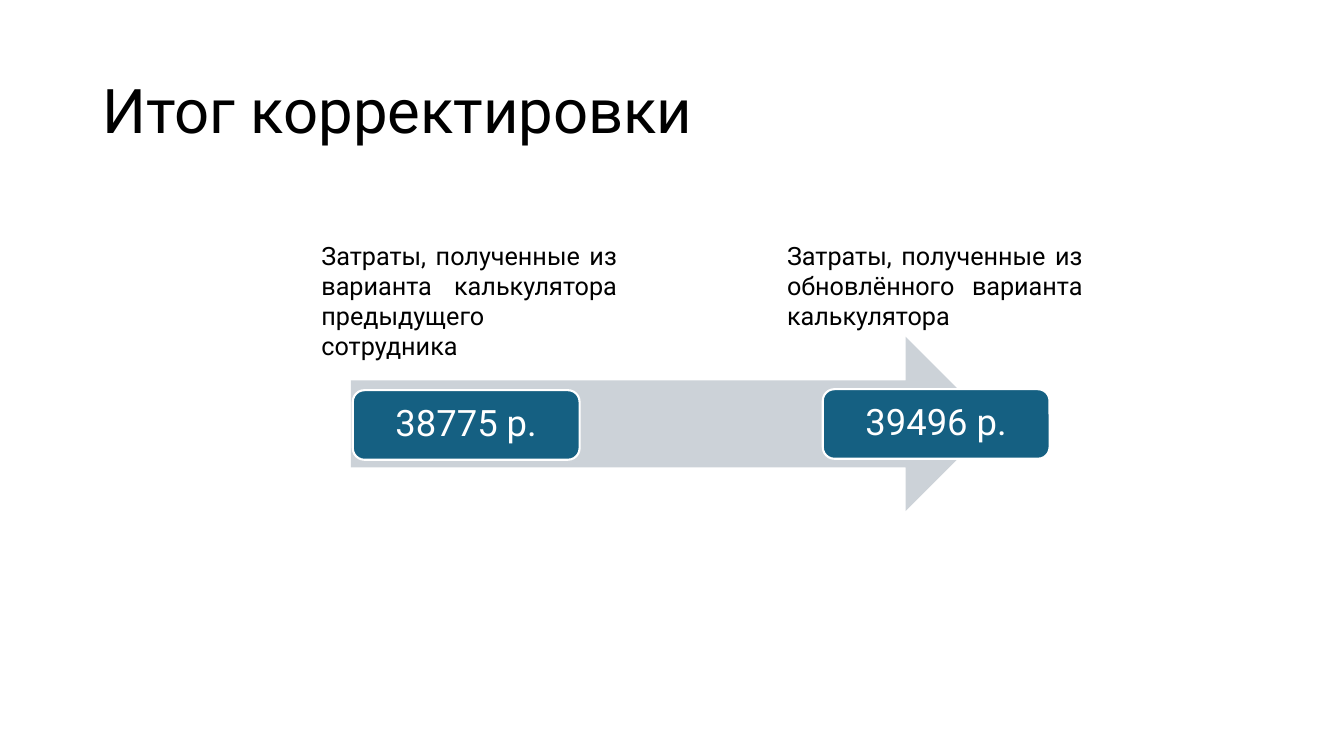
"""Build a slide comparing costs before and after the calculator update."""
import pptx
import pptx.dml.color
import pptx.enum.shapes
import pptx.enum.text
import pptx.util

Pt = pptx.util.Pt
SHAPE = pptx.enum.shapes.MSO_SHAPE
ALIGN = pptx.enum.text.PP_ALIGN
ANCHOR = pptx.enum.text.MSO_ANCHOR

TITLE = "Итог корректировки"
COSTS = [
    {"caption": "Затраты, полученные из варианта калькулятора предыдущего сотрудника",
     "value": "38775 р.", "caption_left": 222.5, "card_left": 252, "card_top": 278.7},
    {"caption": "Затраты, полученные из обновлённого варианта калькулятора",
     "value": "39496 р.", "caption_left": 555.1, "card_left": 587.7, "card_top": 278},
]
CARD_W, CARD_H = 162, 49.7
CAPTION_TOP, CAPTION_W, CAPTION_H = 167.8, 225.4, 72.7


def color(value):
    return pptx.dml.color.RGBColor.from_string(value)


def add_shape(s, kind, box, fill, line=None):
    sp = s.shapes.add_shape(kind, *map(Pt, box))
    sp.shadow.inherit = False
    sp.fill.solid()
    sp.fill.fore_color.rgb = color(fill)
    if line:
        sp.line.color.rgb = color(line)
        sp.line.width = Pt(1.5)
    else:
        sp.line.fill.background()
    return sp


def write(sp, text, size, fill="000000", align=ALIGN.LEFT, anchor=ANCHOR.TOP, spacing=1.0):
    tf = sp.text_frame
    tf.word_wrap = True
    tf.vertical_anchor = anchor
    p = tf.paragraphs[0]
    p.alignment = align
    p.line_spacing = spacing
    r = p.add_run()
    r.text = text
    r.font.name = "Roboto"
    r.font.size = Pt(size)
    r.font.color.rgb = color(fill)


def main():
    prs = pptx.Presentation()
    prs.slide_width, prs.slide_height = Pt(960), Pt(540)
    s = prs.slides.add_slide(prs.slide_layouts[6])

    title = s.shapes.add_textbox(Pt(66), Pt(28.8), Pt(828), Pt(104.4))
    write(title, TITLE, 44, anchor=ANCHOR.MIDDLE, spacing=0.9)

    add_shape(s, SHAPE.RIGHT_ARROW, (250.6, 240.5, 458.6, 124.6), "CCD2D8")

    for cost in COSTS:
        card = add_shape(s, SHAPE.ROUNDED_RECTANGLE,
                         (cost["card_left"], cost["card_top"], CARD_W, CARD_H),
                         "156082", "FFFFFF")
        write(card, cost["value"], 26, "FFFFFF", ALIGN.CENTER, ANCHOR.MIDDLE, 0.9)
        caption = s.shapes.add_textbox(Pt(cost["caption_left"]), Pt(CAPTION_TOP),
                                       Pt(CAPTION_W), Pt(CAPTION_H))
        write(caption, cost["caption"], 18, align=ALIGN.JUSTIFY)

    prs.save("out.pptx")


if __name__ == "__main__":
    main()
